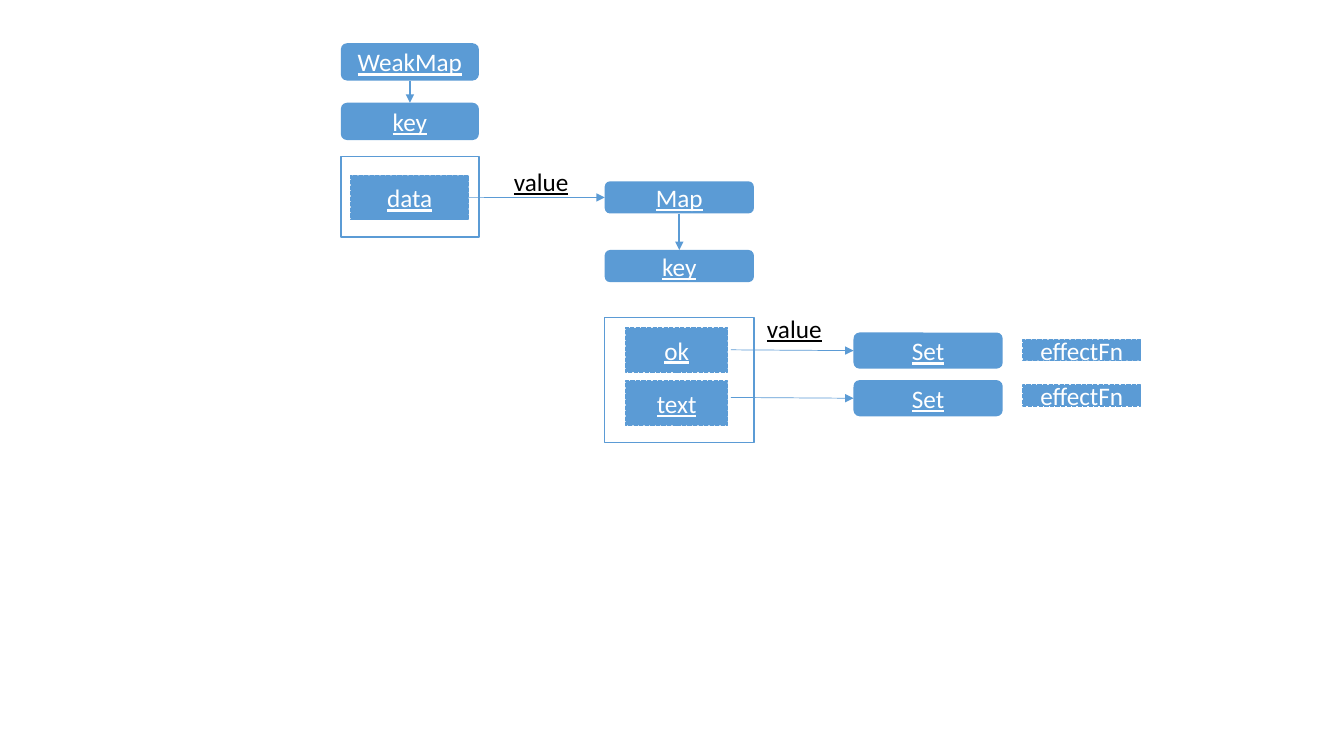
from pptx import Presentation
from pptx.dml.color import RGBColor
from pptx.enum.dml import MSO_LINE_DASH_STYLE as DASH
from pptx.enum.shapes import MSO_CONNECTOR_TYPE as CONNECTOR, MSO_SHAPE as SHAPE
from pptx.enum.text import MSO_ANCHOR as ANCHOR, MSO_AUTO_SIZE as AUTO_SIZE, PP_ALIGN as ALIGN
from pptx.oxml.ns import qn
from pptx.util import Cm, Pt

BLUE = RGBColor(0x5B, 0x9B, 0xD5)
WHITE = RGBColor(0xFF, 0xFF, 0xFF)
BLACK = RGBColor(0, 0, 0)
TOP, LEFT, BOTTOM, RIGHT = range(4)
ENTRY_HEIGHT = 1.12


def write(frame, text, color=WHITE, align=ALIGN.CENTER, anchor=ANCHOR.MIDDLE, wrap=True):
    frame.word_wrap = wrap
    frame.vertical_anchor = anchor
    paragraph = frame.paragraphs[0]
    paragraph.alignment = align
    run = paragraph.add_run()
    run.text = text
    run.font.name = "Calibri"
    run.font.size = Pt(18)
    run.font.underline = True
    run.font.color.rgb = color


def add_block(slide, kind, box, text=None, filled=True, outlined=False, dash=None):
    block = slide.shapes.add_shape(kind, *map(Cm, box))
    block.shadow.inherit = False
    if filled:
        block.fill.solid()
        block.fill.fore_color.rgb = BLUE
    else:
        block.fill.background()
    if outlined:
        block.line.color.rgb = BLUE
        block.line.width = Pt(1)
        if dash:
            block.line.dash_style = dash
    else:
        block.line.fill.background()
    if text:
        write(block.text_frame, text)
    return block


def add_header(slide, box, text):
    return add_block(slide, SHAPE.ROUNDED_RECTANGLE, box, text)


def add_entry(slide, box, text):
    return add_block(slide, SHAPE.RECTANGLE, box, text, outlined=True, dash=DASH.SQUARE_DOT)


def add_arrow(slide, target, side, width, source=None, source_side=RIGHT, start=(0, 0)):
    arrow = slide.shapes.add_connector(CONNECTOR.STRAIGHT, *map(Cm, start), 0, 0)
    if source:
        arrow.begin_connect(source, source_side)
    arrow.end_connect(target, side)
    arrow.line.color.rgb = BLUE
    arrow.line.width = Pt(width)
    line = arrow.line._get_or_add_ln()
    line.append(line.makeelement(qn("a:tailEnd"), {"type": "triangle"}))
    properties = arrow._element.spPr
    properties.append(properties.makeelement(qn("a:effectLst"), {}))


def add_value_label(slide, left, top):
    label = slide.shapes.add_textbox(Cm(left), Cm(top), Cm(1.9), Cm(1.02))
    write(label.text_frame, "value", BLACK, ALIGN.LEFT, ANCHOR.TOP, wrap=False)
    label.text_frame.auto_size = AUTO_SIZE.SHAPE_TO_FIT_TEXT


def add_map(slide, box, name, header_height, key_offset, frame_offset, inset, entries):
    left, top, width, height = box
    header = add_header(slide, (left, top, width, header_height), name)
    key = add_header(slide, (left, top + key_offset, width, header_height), "key")
    add_arrow(slide, key, TOP, 1.5, header, BOTTOM)
    frame_top = top + frame_offset
    add_block(slide, SHAPE.RECTANGLE, (left, frame_top, width, height - frame_offset),
              filled=False, outlined=True)
    entry_left, entry_top, entry_width, pitch = inset
    blocks = [
        add_entry(slide, (left + entry_left, frame_top + entry_top + row * pitch,
                          entry_width, ENTRY_HEIGHT), text)
        for row, text in enumerate(entries)
    ]
    return header, blocks


def add_effect_set(slide, box, effect_top, arrow_left):
    left, top, width, height = box
    effect_set = add_header(slide, box, "Set")
    add_entry(slide, (left + width + 0.51, effect_top, 2.97, 0.53), "effectFn")
    add_arrow(slide, effect_set, LEFT, 0.5, start=(arrow_left, top + height / 2 - 0.02))


def build_slide(slide):
    _, (data,) = add_map(slide, (8.59, 1.09, 3.48, 4.88), "WeakMap", 0.94, 1.5, 2.85,
                         (0.25, 0.48, 2.97, 0), ["data"])
    property_map, _ = add_map(slide, (15.24, 4.57, 3.76, 6.58), "Map", 0.81, 1.73, 3.43,
                              (0.53, 0.26, 2.57, 1.34), ["ok", "text"])
    add_arrow(slide, property_map, LEFT, 0.5, data)
    for row in range(2):
        add_effect_set(slide, (21.51, 8.38 + row * 1.2, 3.76, 0.91), 8.56 + row * 1.14, 18.42)
    add_value_label(slide, 12.7, 4.06)
    add_value_label(slide, 19.08, 7.77)


def main():
    deck = Presentation()
    deck.slide_width, deck.slide_height = Cm(33.87), Cm(19.05)
    build_slide(deck.slides.add_slide(deck.slide_layouts[6]))
    deck.save("out.pptx")


if __name__ == "__main__":
    main()
